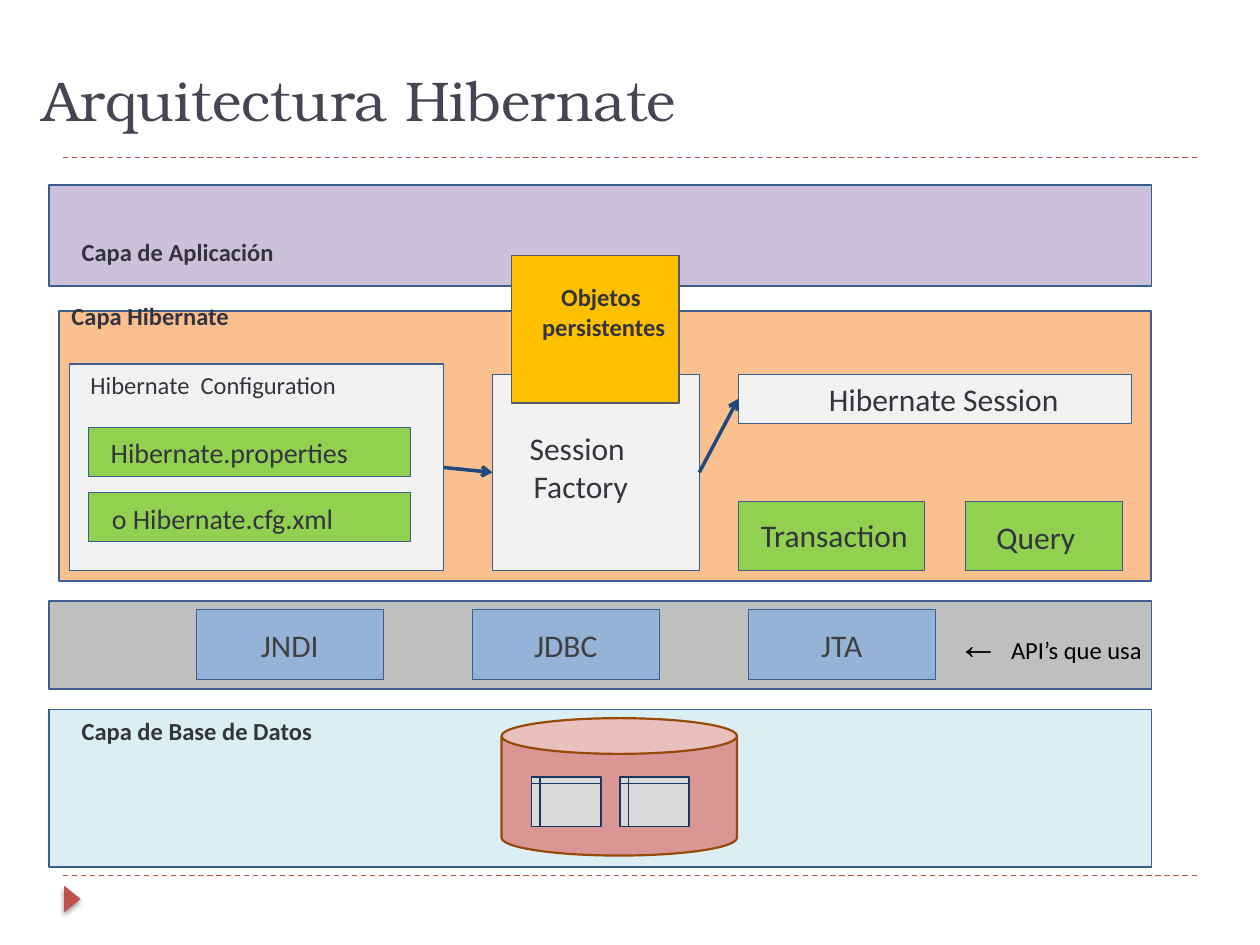
"""Build the Hibernate architecture slide: stacked layers with their components."""
from lxml import etree
from pptx import Presentation, util as u
from pptx.dml import color
from pptx.enum import dml, shapes, text
from pptx.oxml import ns

Pt = u.Pt
rgb = color.RGBColor.from_string
KIND = shapes.MSO_SHAPE
MIDDLE, CENTER = text.MSO_ANCHOR.MIDDLE, text.PP_ALIGN.CENTER
INK, EDGE = "34343E", "3A5F8C"
HEADING = {"name": "Calibri", "size": Pt(14), "bold": True}
SMALL = {"name": "Calibri", "size": Pt(14), "bold": False}
FILE = {"name": "Calibri", "size": Pt(16), "bold": False}
LARGE = {"name": "Calibri", "size": Pt(18), "bold": False}

deck = Presentation()
deck.slide_width, deck.slide_height = Pt(720), Pt(540)
slide = deck.slides.add_slide(deck.slide_layouts[5])
canvas = slide.shapes


def add_box(bounds, fill, edge=EDGE, weight=0.5, kind=KIND.RECTANGLE):
    box = canvas.add_shape(kind, *map(Pt, bounds))
    box.shadow.inherit = False
    box.fill.solid()
    box.fill.fore_color.rgb = rgb(fill)
    if edge:
        box.line.color.rgb = rgb(edge)
        box.line.width = Pt(weight)
    else:
        box.line.fill.background()
    return box


def write(frame, lines, font, ink=INK, align=text.PP_ALIGN.LEFT, anchor=text.MSO_ANCHOR.TOP):
    frame.word_wrap = True
    frame.vertical_anchor = anchor
    for number, line in enumerate(lines):
        paragraph = frame.add_paragraph() if number else frame.paragraphs[0]
        paragraph.alignment = align
        run = paragraph.add_run()
        run.text = line
        run.font.color.rgb = rgb(ink)
        for key, value in font.items():
            setattr(run.font, key, value)


title = canvas.title
for key, value in {"left": 17.3, "top": 22.3, "width": 648, "height": 56.9}.items():
    setattr(title, key, Pt(value))
write(title.text_frame, ["Arquitectura Hibernate"], {"name": "TeX Gyre Bonum", "size": Pt(32)},
      "464653", anchor=text.MSO_ANCHOR.BOTTOM)

for height in (500.4, 90):
    rule = canvas.add_connector(shapes.MSO_CONNECTOR.STRAIGHT, Pt(36), Pt(height), Pt(684), Pt(height))
    rule.line.color.rgb = rgb("C0504D")
    rule.line.width = Pt(0.75)
    rule.line.dash_style = dml.MSO_LINE.DASH
    etree.SubElement(rule._element.spPr, ns.qn("a:effectLst"))

marker = add_box((33.8, 509, 15.1, 9.4), "C0504D", None, kind=KIND.ISOSCELES_TRIANGLE)
marker.rotation = 90
glow = etree.SubElement(marker._element.spPr.find(ns.qn("a:effectLst")), ns.qn("a:outerShdw"),
                        blurRad=str(Pt(3)), dist=str(Pt(2)), dir="5400000", rotWithShape="0")
shade = etree.SubElement(glow, ns.qn("a:srgbClr"), val="000000")
etree.SubElement(shade, ns.qn("a:alpha"), val="40000")

for bounds, fill in [
    ((33.8, 177.8, 624.2, 154.1), "FAC090"),
    ((28.1, 405.4, 630, 90), "DBEEF4"),
    ((28.1, 105.8, 630, 57.6), "CCC1DA"),
    ((28.1, 343.4, 630, 50.4), "BFBFBF"),
]:
    add_box(bounds, fill, weight=1)

database = add_box((286.6, 410.4, 134.6, 78.5), "D99694", "984807", 1.25, KIND.CAN)
database.adjustments[0] = 0.26
for left in (303.8, 354.2):
    add_box((left, 444.2, 39.6, 28.1), "D9D9D9", "17375E", 1, KIND.FLOWCHART_INTERNAL_STORAGE)

configuration = add_box((39.6, 208.1, 213.8, 118.1), "F2F2F2", weight=0.75)
factory = add_box((281.5, 213.8, 118.1, 112.3), "F2F2F2")
session = add_box((421.9, 213.8, 224.6, 28.1), "F2F2F2")
for bounds in [(421.9, 286.6, 106.6, 39.6), (551.5, 286.6, 90, 39.6),
               (50.4, 244.1, 184.3, 28.1), (50.4, 281.5, 184.3, 28.1)]:
    add_box(bounds, "92D050")
add_box((292.3, 146.2, 95.8, 84.2), "FFC000", "595959", 0.75)

for column, api in enumerate(["JNDI", "JDBC", "JTA"]):
    box = add_box((112.3 + 157.7 * column, 348.5, 106.6, 39.6), "95B3D7")
    write(box.text_frame, [api], LARGE, "404040", CENTER, MIDDLE)

for source, target in [(configuration, factory), (factory, session)]:
    arrow = canvas.add_connector(shapes.MSO_CONNECTOR.STRAIGHT, 0, 0, 0, 0)
    arrow.begin_connect(source, 3)
    arrow.end_connect(target, 1)
    arrow.line.color.rgb = rgb("1F497D")
    arrow.line.width = Pt(2)
    etree.SubElement(arrow.line._get_or_add_ln(), ns.qn("a:tailEnd"), type="arrow")
    etree.SubElement(arrow._element.spPr, ns.qn("a:effectLst"))

for bounds, lines, font, align in [
    ((39.6, 131.8, 216, 23.8), ["Capa de Aplicación"], HEADING, None),
    ((39.6, 405.4, 216, 23.8), ["Capa de Base de Datos"], HEADING, None),
    ((33.8, 168.5, 216, 23.8), ["Capa Hibernate"], HEADING, None),
    ((281.5, 157.7, 123.8, 40.3), ["Objetos", " persistentes"], HEADING, CENTER),
    ((44.6, 208.1, 196.6, 23.8), ["Hibernate  Configuration"], SMALL, None),
    ((56.2, 245.5, 162.7, 25.9), ["Hibernate.properties"], FILE, None),
    ((56.9, 283, 162.7, 25.9), ["o Hibernate.cfg.xml"], FILE, None),
    ((292.3, 241.9, 79.2, 50.4), ["Session ", "Factory"], LARGE, CENTER),
    ((466.6, 213.8, 174.2, 28.8), ["Hibernate Session"], LARGE, None),
    ((427.7, 291.6, 112.3, 28.8), ["Transaction"], LARGE, None),
    ((562.3, 292.3, 72.7, 28.8), ["Query"], LARGE, None),
]:
    write(canvas.add_textbox(*map(Pt, bounds)).text_frame, lines, font, align=align)

usage = canvas.add_textbox(Pt(540), Pt(349.2), Pt(180), Pt(36)).text_frame
write(usage, ["← "], {"name": "Arial", "size": Pt(24)}, "000000")
note = usage.paragraphs[0].add_run()
note.text = "API’s que usa"
note.font.color.rgb = rgb("000000")
for key, value in SMALL.items():
    setattr(note.font, key, value)

deck.save("out.pptx")
